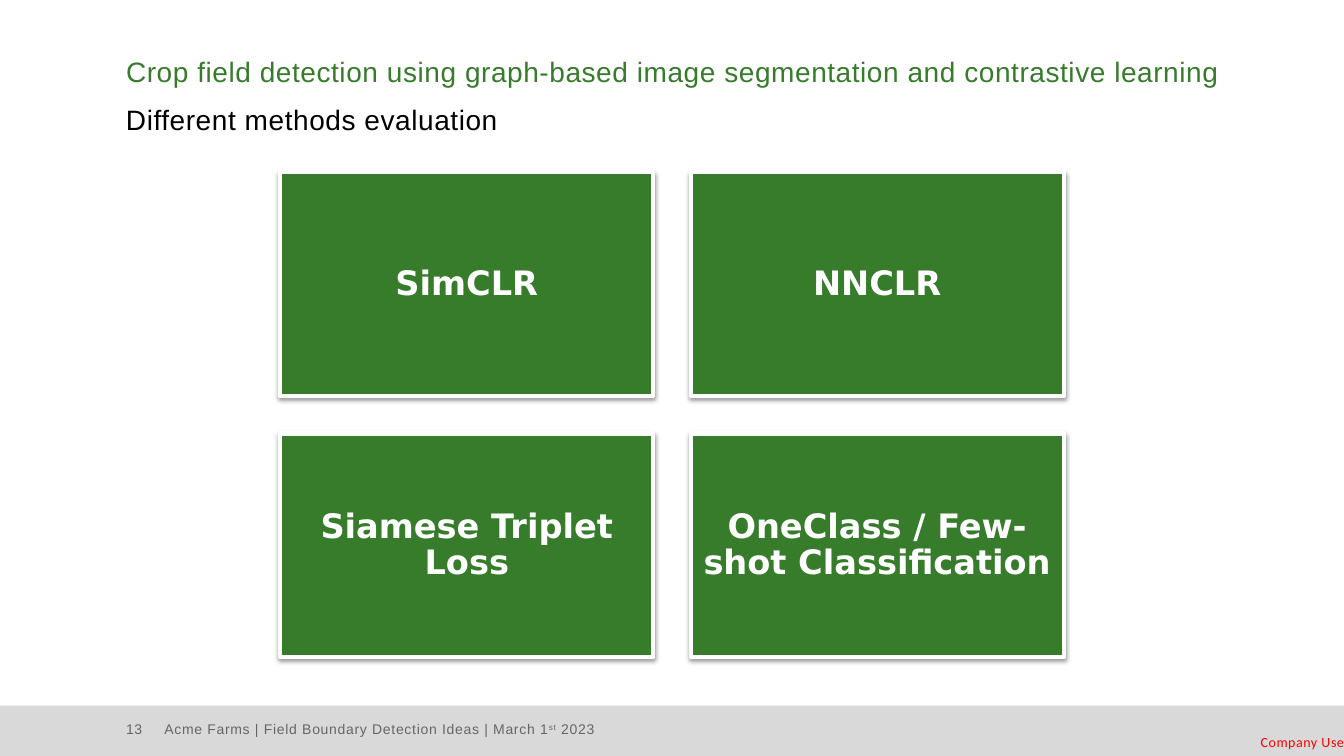
from dataclasses import dataclass
from itertools import product
from lxml.etree import SubElement
from pptx import Presentation
from pptx.dml.color import RGBColor
from pptx.enum.shapes import MSO_SHAPE
from pptx.enum.text import MSO_ANCHOR, MSO_AUTO_SIZE, PP_ALIGN
from pptx.oxml.ns import qn
from pptx.util import Inches, Pt


@dataclass(frozen=True)
class Theme:
    green: str = "367C2B"
    white: str = "FFFFFF"
    black: str = "000000"
    gray: str = "666666"
    band: str = "D9D9D9"
    red: str = "FF0000"
    sans: str = "Arial"
    label: str = "Calibri"
    card: str = "DejaVu Sans"
    head: int = 20
    big: int = 24
    small: int = 10


class Deck:
    def __init__(self, theme):
        self.theme = theme
        self.file = Presentation()
        self.file.slide_width = Inches(13.33)
        self.file.slide_height = Inches(7.5)
        self.slide = self.file.slides.add_slide(self.file.slide_layouts[5])

    def fill_text(self, frame, runs, size, color, font=None, bold=False, gap=0.0,
                  inset=0.0, anchor=MSO_ANCHOR.TOP, align=PP_ALIGN.LEFT, lead=None):
        frame.word_wrap = True
        frame.auto_size = MSO_AUTO_SIZE.NONE
        frame.vertical_anchor = anchor
        frame.margin_left = frame.margin_right = Inches(inset)
        frame.margin_top = frame.margin_bottom = Inches(inset)
        para = frame.paragraphs[0]
        para.alignment = align
        para.line_spacing = lead
        for words, base in runs:
            run = para.add_run()
            run.text = words
            run.font.name = font or self.theme.sans
            run.font.size = Pt(size)
            run.font.bold = bold
            run.font.color.rgb = RGBColor.from_string(color)
            props = run._r.get_or_add_rPr()
            if gap:
                props.set("spc", str(round(gap * 100)))
            if base:
                props.set("baseline", str(base * 1000))

    def title(self, words, box):
        shape = self.slide.shapes.title
        shape.left, shape.top, shape.width, shape.height = map(Inches, box)
        self.fill_text(shape.text_frame, [(words, 0)], self.theme.head,
                       self.theme.green, gap=0.4, lead=Pt(32))

    def text(self, runs, box, size, color, **style):
        shape = self.slide.shapes.add_textbox(*map(Inches, box))
        self.fill_text(shape.text_frame, runs, size, color, **style)

    def rect(self, box, fill):
        shape = self.slide.shapes.add_shape(MSO_SHAPE.RECTANGLE, *map(Inches, box))
        shape.shadow.inherit = False
        shape.fill.solid()
        shape.fill.fore_color.rgb = RGBColor.from_string(fill)
        shape.line.fill.background()
        return shape

    def card(self, words, box):
        shape = self.rect(box, self.theme.green)
        shape.line.color.rgb = RGBColor.from_string(self.theme.white)
        shape.line.width = Pt(3)
        effects = shape._element.spPr.find(qn("a:effectLst"))
        shadow = SubElement(effects, qn("a:outerShdw"), blurRad=str(int(Pt(3.1))),
                            dist=str(int(Pt(1.6))), dir="5400000", rotWithShape="0")
        color = SubElement(shadow, qn("a:srgbClr"), val=self.theme.black)
        SubElement(color, qn("a:alpha"), val="38000")
        self.fill_text(shape.text_frame, [(words, 0)], self.theme.big,
                       self.theme.white, font=self.theme.card, bold=True, inset=0.1,
                       anchor=MSO_ANCHOR.MIDDLE, align=PP_ALIGN.CENTER, lead=0.9)


def main():
    theme = Theme()
    deck = Deck(theme)
    deck.rect((0, 7, 13.33, 0.5), theme.band)
    note = [("Acme Farms | Field Boundary Detection Ideas | March 1", 0),
            ("st", 30), (" 2023", 0)]
    for runs, left, width in ((note, 1.63, 6.08), ([("13", 0)], 1.25, 0.38)):
        deck.text(runs, (left, 7.08, width, 0.3), theme.small, theme.gray,
                  gap=0.5, anchor=MSO_ANCHOR.MIDDLE)
    deck.text([("Company Use", 0)], (12.24, 7.21, 1.09, 0.29), theme.small,
              theme.red, font=theme.label, gap=0.4, anchor=MSO_ANCHOR.MIDDLE,
              align=PP_ALIGN.RIGHT, lead=1.1)
    deck.title("Crop field detection using graph-based image segmentation "
               "and contrastive learning", (1.25, 0.43, 11.17, 0.55))
    deck.text([("Different methods evaluation", 0)], (1.25, 0.98, 7.54, 1),
              theme.head, theme.black, gap=0.4, lead=1.1)

    names = ("SimCLR", "NNCLR", "Siamese Triplet Loss",
             "OneClass / Few-shot Classification")
    wide, high, space = 3.7, 2.22, 0.37
    for name, (row, col) in zip(names, product(range(2), repeat=2)):
        deck.card(name, (2.78 + col * (wide + space),
                         1.71 + row * (high + space), wide, high))
    deck.file.save("out.pptx")


if __name__ == "__main__":
    main()
